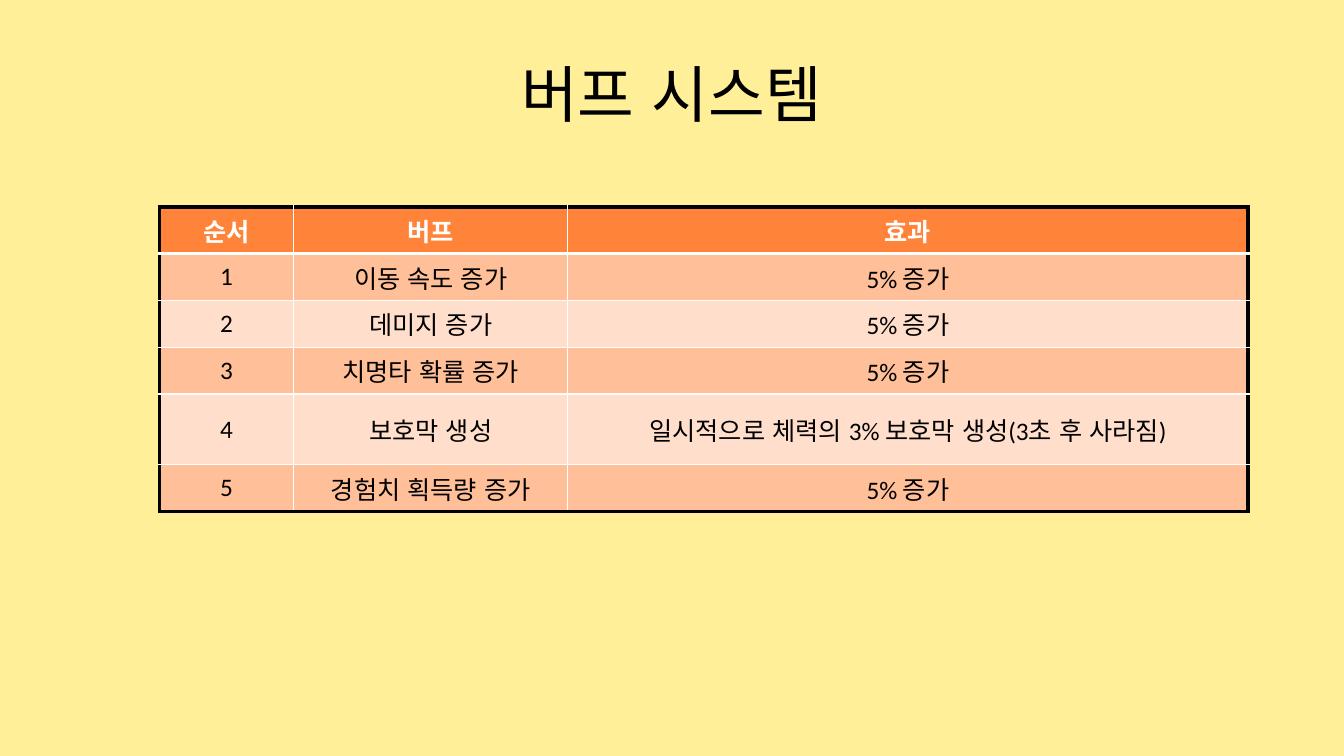
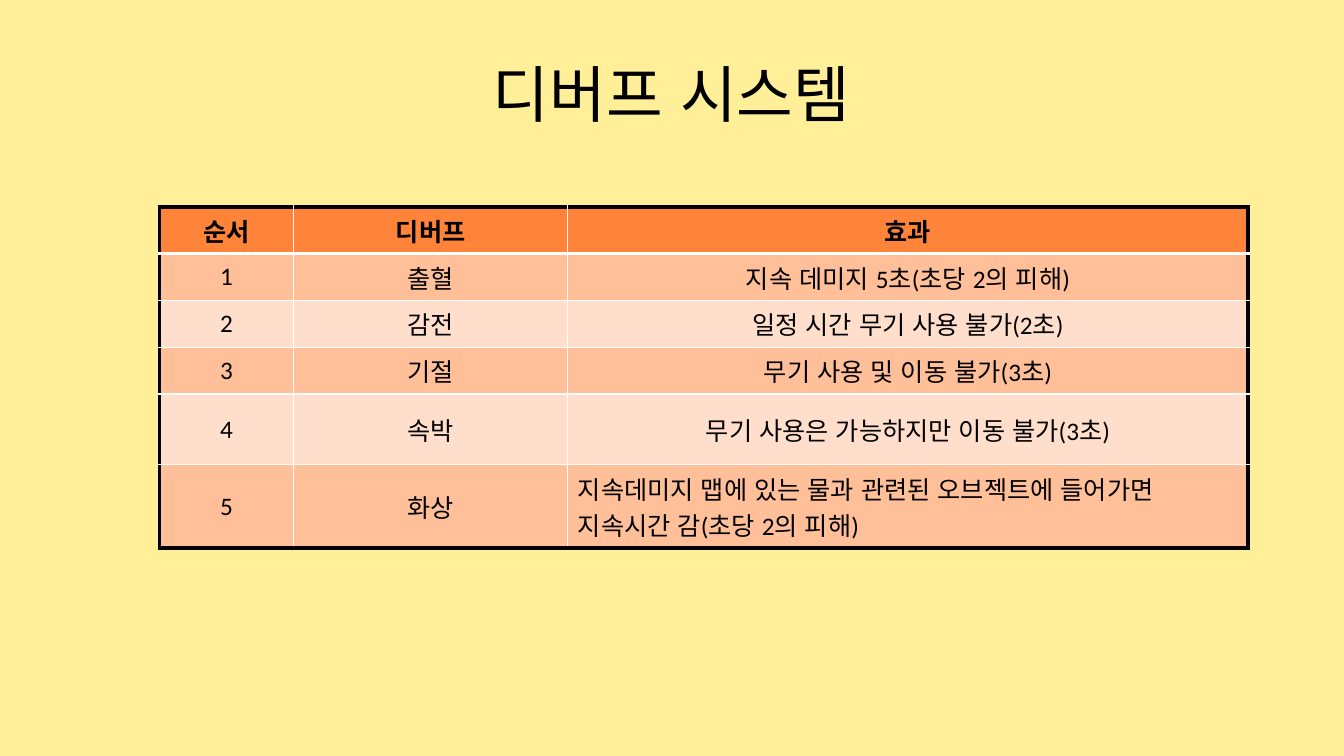
from lxml.etree import SubElement
from pptx import Presentation
from pptx.dml.color import RGBColor
from pptx.enum.lang import MSO_LANGUAGE_ID as Language
from pptx.enum.text import MSO_ANCHOR as Anchor, PP_ALIGN as Align
from pptx.oxml.ns import qn
from pptx.util import Cm, Pt

# Shared look
CREAM = RGBColor(0xFF, 0xEF, 0x99)
ORANGE = RGBColor(0xFF, 0x84, 0x3A)
PEACH = RGBColor(0xFF, 0xBF, 0x99)
PALE_PEACH = RGBColor(0xFF, 0xDF, 0xCC)
BLACK = RGBColor(0, 0, 0)
WHITE = RGBColor(0xFF, 0xFF, 0xFF)
FONT = "Calibri"

# Shared table geometry, in centimetres
COLUMN_WIDTHS = (3.38, 6.91, 17.14)
LINE_ROW = 1.18
TALL_ROW = 1.78
TWO_LINE_ROW = 2.1

# Content: name and effect of each entry, numbered in order
BUFFS = [
    ("이동 속도 증가", "5% 증가"),
    ("데미지 증가", "5% 증가"),
    ("치명타 확률 증가", "5% 증가"),
    ("보호막 생성", "일시적으로 체력의 3% 보호막 생성(3초 후 사라짐)"),
    ("경험치 획득량 증가", "5% 증가"),
]
DEBUFFS = [
    ("출혈", "지속 데미지 5초(초당 2의 피해)"),
    ("감전", "일정 시간 무기 사용 불가(2초)"),
    ("기절", "무기 사용 및 이동 불가(3초)"),
    ("속박", "무기 사용은 가능하지만 이동 불가(3초)"),
    ("화상", "지속데미지 맵에 있는 물과 관련된 오브젝트에 들어가면 "
             "지속시간 감(초당 2의 피해)"),
]


def write(frame, text, size, color=BLACK, bold=False, align=Align.CENTER):
    paragraph = frame.paragraphs[0]
    paragraph.alignment = align
    run = paragraph.add_run()
    run.text = text
    run.font.language_id = Language.KOREAN
    run.font.name = FONT
    run.font.size = Pt(size)
    run.font.bold = bold
    run.font.color.rgb = color


def add_title(slide, text):
    title = slide.shapes.add_textbox(Cm(1.69), Cm(0.76), Cm(30.48), Cm(3.18))
    frame = title.text_frame
    frame.word_wrap = True
    frame.vertical_anchor = Anchor.MIDDLE
    write(frame, text, 44)


def set_border(cell, side, color, width):
    line = SubElement(cell._tc.get_or_add_tcPr(), qn(f"a:ln{side}"), w=str(Pt(width)))
    fill = SubElement(line, qn("a:solidFill"))
    SubElement(fill, qn("a:srgbClr"), val=str(color))


def frame_cell(cell, row, column, last_row, last_column):
    """Black outer frame, white inner grid, thick white rule under the header."""
    outer = (BLACK, 3)
    inner = (WHITE, 1)
    rule = (WHITE, 3)
    set_border(cell, "L", *(outer if column == 0 else inner))
    set_border(cell, "R", *(outer if column == last_column else inner))
    set_border(cell, "T", *(outer if row == 0 else rule if row == 1 else inner))
    set_border(cell, "B", *(outer if row == last_row else rule if row == 0 else inner))


def add_effect_table(slide, kind, entries, header_color, last_height, last_align):
    rows = [("순서", kind, "효과")]
    rows += [(str(number), *entry) for number, entry in enumerate(entries, 1)]
    heights = [LINE_ROW] * 4 + [TALL_ROW, last_height]
    table = slide.shapes.add_table(
        len(rows), len(COLUMN_WIDTHS), Cm(4.02), Cm(5.21),
        Cm(sum(COLUMN_WIDTHS)), Cm(sum(heights))).table
    table.horz_banding = False
    for column, width in zip(table.columns, COLUMN_WIDTHS):
        column.width = Cm(width)
    for row, height in zip(table.rows, heights):
        row.height = Cm(height)

    last_row, last_column = len(rows) - 1, len(COLUMN_WIDTHS) - 1
    for r, texts in enumerate(rows):
        header = r == 0
        for c, text in enumerate(texts):
            cell = table.cell(r, c)
            frame_cell(cell, r, c, last_row, last_column)
            cell.fill.solid()
            cell.fill.fore_color.rgb = ORANGE if header else PEACH if r % 2 else PALE_PEACH
            cell.vertical_anchor = Anchor.MIDDLE
            is_last = (r, c) == (last_row, last_column)
            write(cell.text_frame, text, 18, header_color if header else BLACK,
                  header, last_align if is_last else Align.CENTER)


def add_system_slide(prs, kind, entries, header_color,
                     last_height=LINE_ROW, last_align=Align.CENTER):
    slide = prs.slides.add_slide(prs.slide_layouts[6])
    add_title(slide, f"{kind} 시스템")
    add_effect_table(slide, kind, entries, header_color, last_height, last_align)


def main():
    prs = Presentation()
    prs.slide_width, prs.slide_height = Cm(33.87), Cm(19.05)
    background = prs.slide_master.background.fill
    background.solid()
    background.fore_color.rgb = CREAM

    add_system_slide(prs, "버프", BUFFS, WHITE)
    add_system_slide(prs, "디버프", DEBUFFS, BLACK, TWO_LINE_ROW, Align.LEFT)
    prs.save("out.pptx")


if __name__ == "__main__":
    main()
